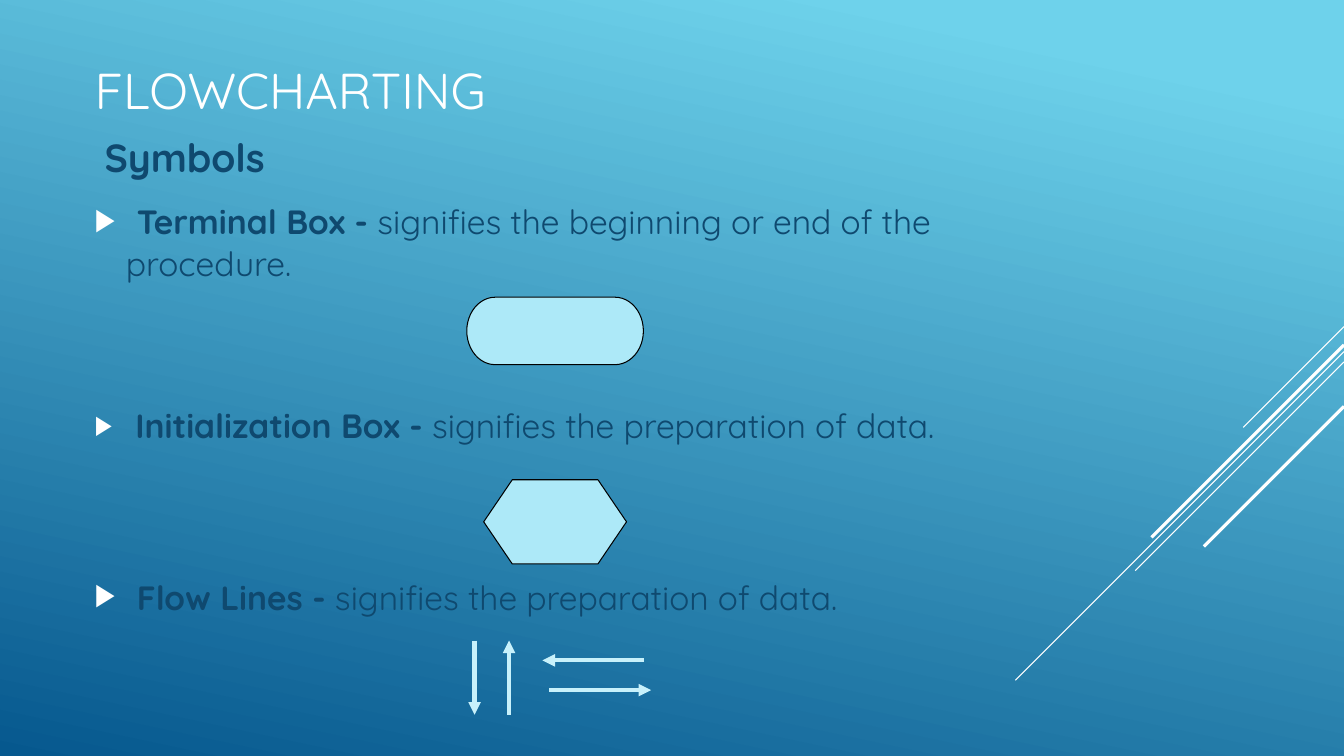
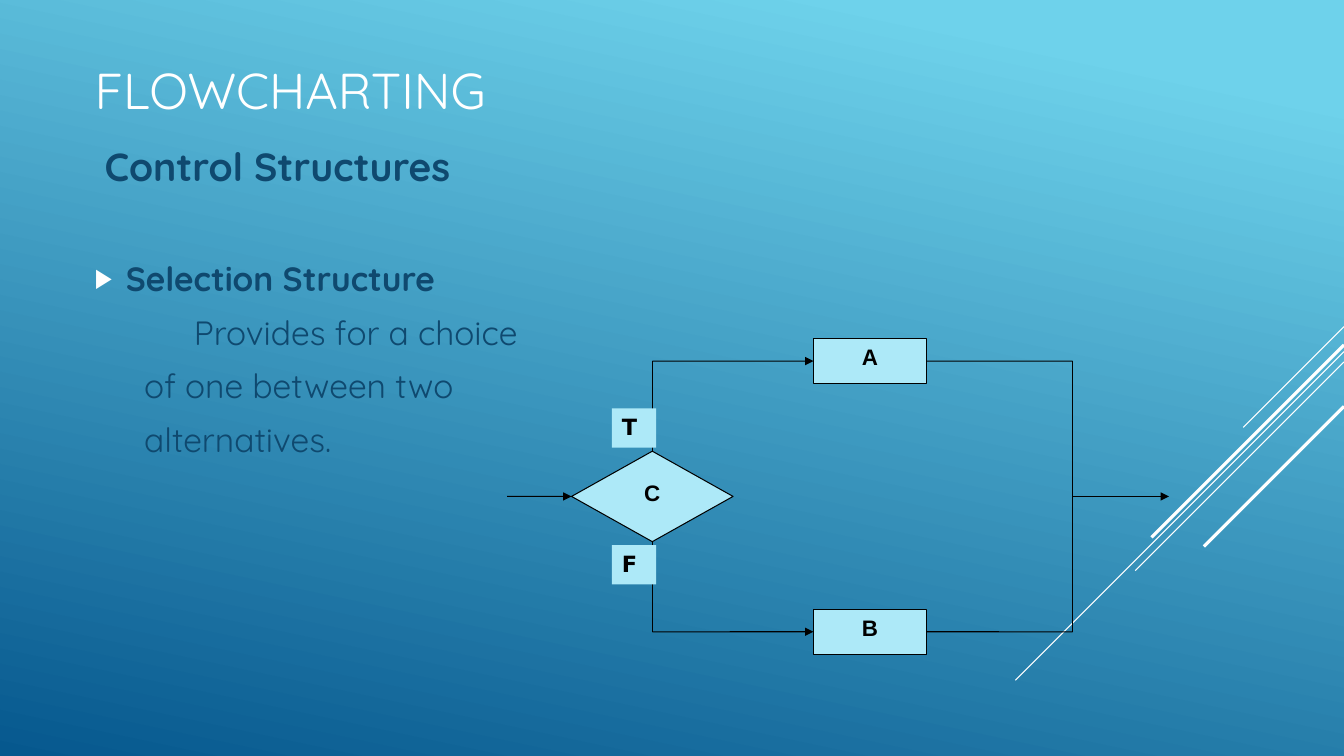
from lxml.etree import SubElement as Sub
from pptx import Presentation
from pptx.dml.color import RGBColor
from pptx.enum.shapes import MSO_CONNECTOR as Link, MSO_SHAPE as Kind
from pptx.enum.text import MSO_ANCHOR as Anchor, MSO_AUTO_SIZE as Fit, PP_ALIGN as Align
from pptx.oxml.ns import qn
from pptx.util import Cm, Pt

WIDE, HIGH = 33.87, 19.05
LEFT, SPAN = 2.13, 23.7
SKY, DEEP = "6ED2EB", "06588E"
WHITE, BLACK, NAVY = "FFFFFF", "000000", "0F496F"
PALE, MIST = "ADE9F8", "C8F1FB"
FACE = "Quicksand"
RAYS = [(8.23, 2.54, 0.75), (8.86, 8.28, 0.75), (9.12, 5.26, 0.75),
        (8.69, 4.85, 2.25), (10.24, 3.53, 2.25)]


def tint(code):
    return RGBColor.from_string(code)


def write(para, text, size=24, bold=False, face=FACE, color=NAVY):
    run = para.add_run()
    run.text = text
    font = run.font
    font.size, font.bold, font.name = Pt(size), bold, face
    font.color.rgb = tint(color)


def place(shape, x, y, w, h):
    shape.left, shape.top, shape.width, shape.height = Cm(x), Cm(y), Cm(w), Cm(h)


def draw(slide, start, end, color=BLACK, width=0.75, head=False):
    line = slide.shapes.add_connector(Link.STRAIGHT, *(Cm(v) for v in (*start, *end)))
    line.line.color.rgb = tint(color)
    line.line.width = Pt(width)
    props = line.element.spPr
    if head:
        Sub(props.get_or_add_ln(), qn("a:tailEnd"), type="triangle")
    Sub(props, qn("a:effectLst"))
    return line


def block(slide, kind, x, y, w, h, text="", edge=True, face="Arial"):
    shape = slide.shapes.add_shape(kind, Cm(x), Cm(y), Cm(w), Cm(h))
    shape.shadow.inherit = False
    shape.fill.solid()
    shape.fill.fore_color.rgb = tint(PALE)
    if edge:
        shape.line.color.rgb = tint(BLACK)
        shape.line.width = Pt(0.75)
    else:
        shape.line.fill.background()
    if text:
        frame = shape.text_frame
        frame.vertical_anchor = Anchor.TOP
        frame.word_wrap = edge
        para = frame.paragraphs[0]
        para.alignment = Align.CENTER if edge else Align.LEFT
        write(para, text, size=16, bold=True, face=face, color=BLACK)
    return shape


def theme(deck, slide):
    master = deck.slide_master
    fill = master.background.fill
    fill.gradient()
    fill.gradient_angle = 258
    for stop, code, pos in zip(fill.gradient_stops, (SKY, DEEP), (0.1, 1)):
        stop.color.rgb = tint(code)
        stop.position = pos
    tree = master.shapes.element
    for num, (y, size, width) in enumerate(RAYS):
        ray = draw(slide, (WIDE, y), (WIDE - size, y + size), WHITE, width).element
        ray.nvCxnSpPr.cNvPr.set("id", str(100 + num))
        tree.insert(2 + num, ray)


def title(slide, text):
    shape = slide.shapes.title
    place(shape, LEFT, 1.3, SPAN, 1.88)
    frame = shape.text_frame
    frame.auto_size = Fit.NONE
    frame.vertical_anchor = Anchor.MIDDLE
    frame.paragraphs[0].alignment = Align.LEFT
    write(frame.paragraphs[0], text, size=36, color=WHITE)


def mark(para, bullet, margin):
    props = para._p.get_or_add_pPr()
    props.set("marL", str(Cm(0.79 if bullet else margin)))
    props.set("indent", str(Cm(-0.79 if bullet else 0)))
    if not bullet:
        Sub(props, qn("a:buNone"))
        return
    Sub(Sub(props, qn("a:buClr")), qn("a:srgbClr"), val=WHITE)
    Sub(props, qn("a:buSzPct"), val="80000")
    Sub(props, qn("a:buFont"), typeface="Arial")
    Sub(props, qn("a:buChar"), char="▶")


def body(slide, top, items):
    shape = slide.placeholders[1]
    place(shape, LEFT, top, SPAN, HIGH - top - 0.5)
    frame = shape.text_frame
    frame.auto_size = Fit.NONE
    frame.vertical_anchor = Anchor.TOP
    for num, (gap, bullet, margin, runs) in enumerate(items):
        para = frame.add_paragraph() if num else frame.paragraphs[0]
        mark(para, bullet, margin)
        para.space_before, para.space_after = Pt(gap), Pt(0)
        for text, size, bold in runs:
            write(para, text, size=size, bold=bold)


def term(gap, name, text, lead):
    return gap, True, 0, [(" ", lead, True), (name + " - ", 24, True), (text, 24, False)]


def arrows(slide, x, y, w, h):
    for start, end in [((0, 0), (0, h)), ((0.87, h), (0.87, 0)),
                       ((w - 0.18, 0.5), (1.71, 0.5)), ((1.88, 1.25), (w, 1.25))]:
        draw(slide, (x + start[0], y + start[1]), (x + end[0], y + end[1]),
             MIST, 3, head=True)


def choice(slide, x, y, w, h):
    mid, hub, join = y + h / 2, x + 3.66, x + w - 2.43
    wide, high, gap = 4.07, 2.28, 0.09
    bw, bh, tw, th = 2.85, 1.14, 1.12, 0.99
    left = x + 7.72
    test = block(slide, Kind.FLOWCHART_DECISION, hub - wide / 2, mid - high / 2,
                 wide, high, "C")
    draw(slide, (x, mid), (hub - wide / 2, mid), head=True).end_connect(test, 1)
    rows = [("A", "T", -1, 0), ("B", "F", 1, 2)]
    for name, flag, way, site in rows:
        row = mid + way * (h - bh) / 2
        step = block(slide, Kind.FLOWCHART_PROCESS, left, row - bh / 2, bw, bh, name)
        draw(slide, (hub, mid + way * high / 2), (hub, row)).begin_connect(test, site)
        draw(slide, (hub, row), (left, row), head=True).end_connect(step, 1)
        draw(slide, (left + bw, row), (join, row)).begin_connect(step, 3)
        spot = mid + way * (high / 2 + gap + th / 2)
        block(slide, Kind.RECTANGLE, hub - 1.02, spot - th / 2, tw, th, flag,
              edge=False, face="DejaVu Sans")
    draw(slide, (join, y + bh / 2), (join, y + h - bh / 2))
    draw(slide, (join, mid), (x + w, mid), head=True)


def symbols(slide):
    title(slide, "FLOWCHARTING")
    body(slide, 3.24, [
        (0, False, 0.25, [("Symbols", 28, True)]),
        term(10.7, "Terminal Box", "signifies the beginning or end of the procedure.", 28),
        term(87, "Initialization Box", "signifies the preparation of data.", 24),
        term(90, "Flow Lines", "signifies the preparation of data.", 28)])
    axis = 13.99
    for kind, y, w, h in [(Kind.FLOWCHART_TERMINATOR, 7.49, 4.45, 1.7),
                          (Kind.FLOWCHART_PREPARATION, 12.09, 3.6, 2.12)]:
        block(slide, kind, axis - w / 2, y, w, h)
    arrows(slide, 11.96, 16.14, 4.45, 1.87)


def control(slide):
    title(slide, "FLOWCHARTING")
    lines = [(2.5, "Provides for a choice"), (1.25, "of one between two"),
             (1.25, "alternatives.")]
    body(slide, 3.45, [
        (0, False, 0.25, [("Control Structures", 28, True)]),
        (49, True, 0, [("Selection Structure", 24, True)]),
        *((9.6, False, margin, [(text, 24, False)]) for margin, text in lines)])
    choice(slide, 12.78, 8.53, 16.68, 7.96)


def main():
    deck = Presentation()
    deck.slide_width, deck.slide_height = Cm(WIDE), Cm(HIGH)
    pages = [deck.slides.add_slide(deck.slide_layouts[1]) for _ in range(2)]
    theme(deck, pages[0])
    for fill, page in zip((symbols, control), pages):
        fill(page)
    deck.save("out.pptx")


if __name__ == "__main__":
    main()
